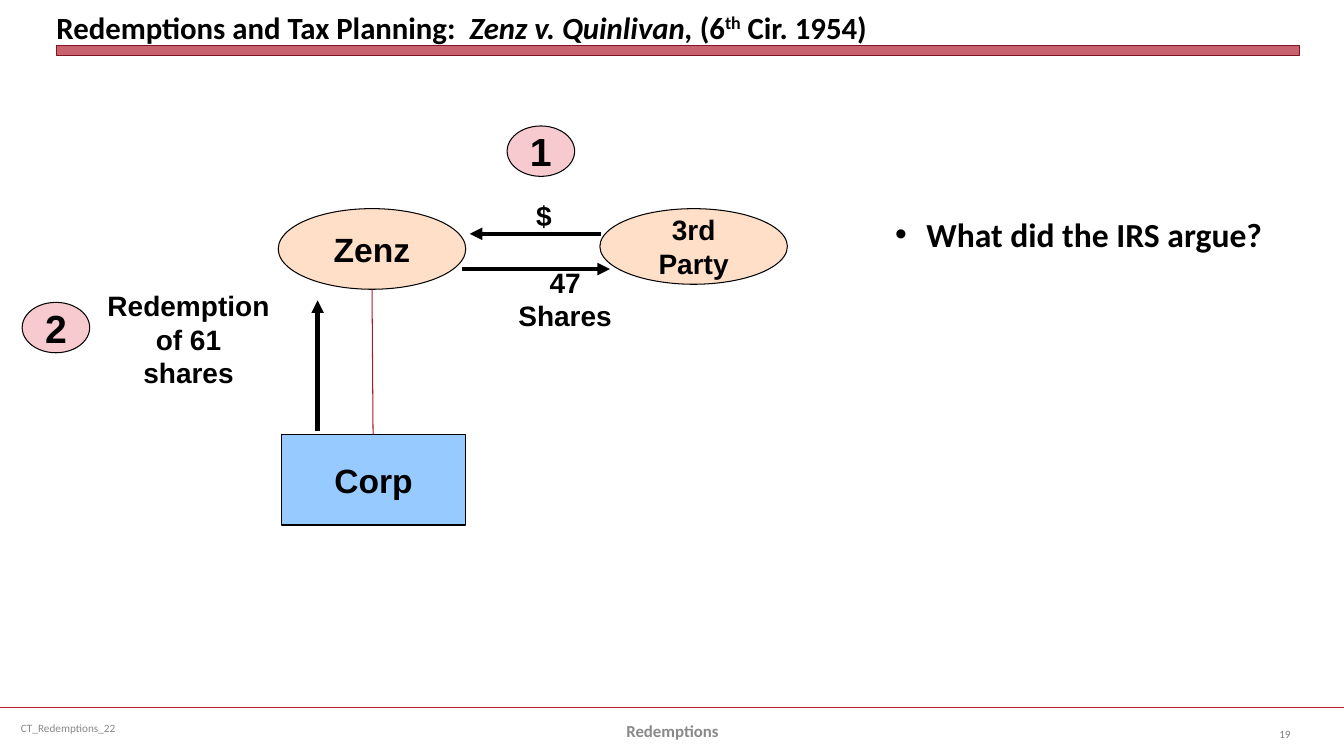
from lxml import etree
from pptx import Presentation
from pptx.dml.color import RGBColor
from pptx.enum import shapes, text
from pptx.oxml import ns
from pptx.util import Inches, Pt

rgb = RGBColor.from_string
LEFT, CENTER, RIGHT = text.PP_ALIGN.LEFT, text.PP_ALIGN.CENTER, text.PP_ALIGN.RIGHT
MIDDLE = text.MSO_ANCHOR.MIDDLE
OVAL, RECT = shapes.MSO_SHAPE.OVAL, shapes.MSO_SHAPE.RECTANGLE


def write(sp, content, size, font="Arial", color="000000", bold=True, align=CENTER, wrap=False):
    tf = sp.text_frame
    tf.text = content
    tf.word_wrap = wrap
    tf.vertical_anchor = MIDDLE
    for p in tf.paragraphs:
        p.alignment = align
        for r in p.runs:
            r.font.size, r.font.name, r.font.bold = Pt(size), font, bold
            r.font.color.rgb = rgb(color)


def add_line(x1, y1, x2, y2, color, width, arrow=False):
    line = s.shapes.add_connector(shapes.MSO_CONNECTOR.STRAIGHT, Inches(x1), Inches(y1), Inches(x2), Inches(y2))
    line.line.color.rgb = rgb(color)
    line.line.width = Pt(width)
    if arrow:
        etree.SubElement(line.line._get_or_add_ln(), ns.qn("a:tailEnd"), type="triangle")
    etree.SubElement(line._element.spPr, ns.qn("a:effectLst"))


prs = Presentation()
prs.slide_width, prs.slide_height = Inches(13.33), Inches(7.5)
s = prs.slides.add_slide(prs.slide_layouts[5])

add_line(0, 7.02, 13.33, 7.02, "B01C2E", 1.25)

bar = s.shapes.add_shape(RECT, Inches(0.56), Inches(0.45), Inches(12.33), Inches(0.1))
bar.shadow.inherit = False
bar.fill.solid()
bar.fill.fore_color.rgb = rgb("B01C2E")
fill_color = bar._element.spPr.find(".//" + ns.qn("a:srgbClr"))
etree.SubElement(fill_color, ns.qn("a:alpha"), val="69000")
bar.line.color.rgb = rgb("821522")
bar.line.width = Pt(0)

title = s.shapes.title
title.left, title.top, title.width, title.height = Inches(0.56), Inches(0.05), Inches(12.33), Inches(0.4)
tf = title.text_frame
tf.auto_size = text.MSO_AUTO_SIZE.NONE
tf.word_wrap = True
tf.vertical_anchor = text.MSO_ANCHOR.BOTTOM
tf.margin_left = tf.margin_right = tf.margin_top = tf.margin_bottom = 0
p = tf.paragraphs[0]
p.alignment = LEFT
for part, italic, baseline in [
    ("Redemptions and Tax Planning:  ", False, 0),
    ("Zenz v. Quinlivan, ", True, 0),
    ("(6", False, 0),
    ("th", False, 30000),
    (" Cir. 1954)", False, 0),
]:
    r = p.add_run()
    r.text = part
    r.font.size, r.font.name, r.font.bold, r.font.italic = Pt(22), "Calibri", True, italic
    r.font.color.rgb = rgb("000000")
    if baseline:
        r.font._element.set("baseline", str(baseline))

for kind, label, x, y, w, h, fill, size, outline in [
    (RECT, "Corp", 2.79, 4.31, 1.83, 0.9, "97CBFF", 24, 1),
    (OVAL, "Zenz", 2.76, 2.07, 1.86, 0.8, "FFDFC8", 24, 0.75),
    (OVAL, "3rd\nParty", 5.95, 2.07, 1.86, 0.75, "FFDFC8", 20, 0.75),
    (OVAL, "1", 5.03, 1.25, 0.67, 0.5, "F7CAD0", 28, 0.75),
    (OVAL, "2", 0.22, 3, 0.67, 0.5, "F7CAD0", 28, 0.75),
]:
    sp = s.shapes.add_shape(kind, Inches(x), Inches(y), Inches(w), Inches(h))
    sp.shadow.inherit = False
    sp.fill.solid()
    sp.fill.fore_color.rgb = rgb(fill)
    sp.line.color.rgb = rgb("000000")
    sp.line.width = Pt(outline)
    write(sp, label, size)

for ends in [(4.58, 2.67, 6.05, 2.67), (5.96, 2.32, 4.66, 2.32), (3.15, 4.28, 3.15, 2.98)]:
    add_line(*ends, "000000", 3, arrow=True)
add_line(3.69, 2.87, 3.7, 4.31, "B0182A", 0.75)

for label, x, y, w, h in [
    ("$ ", 5.22, 1.92, 0.43, 0.43),
    ("47 Shares", 4.85, 2.75, 1.51, 0.43),
    ("Redemption\nof 61 shares", 0.96, 2.98, 1.82, 0.77),
]:
    write(s.shapes.add_textbox(Inches(x), Inches(y), Inches(w), Inches(h)), label, 20)

question = s.shapes.add_textbox(Inches(8.78), Inches(2.07), Inches(3.88), Inches(0.5))
write(question, "What did the IRS argue?", 24, "Calibri", align=LEFT)
pPr = question.text_frame.paragraphs[0]._p.get_or_add_pPr()
pPr.set("marL", str(Inches(0.31)))
pPr.set("indent", str(Inches(-0.31)))
etree.SubElement(pPr, ns.qn("a:buFont"), typeface="Arial")
etree.SubElement(pPr, ns.qn("a:buChar"), char="•")

for label, x, y, w, size, color, bold, align in [
    ("CT_Redemptions_22", 0.11, 7.02, 3.44, 8, "898989", False, LEFT),
    ("Redemptions", 4.56, 7.05, 4.22, 12, "898989", True, CENTER),
    ("19", 12.23, 7.08, 0.67, 8, "808080", False, RIGHT),
]:
    footer = s.shapes.add_textbox(Inches(x), Inches(y), Inches(w), Inches(0.4))
    write(footer, label, size, "Calibri", color, bold, align, wrap=True)

prs.save("out.pptx")
